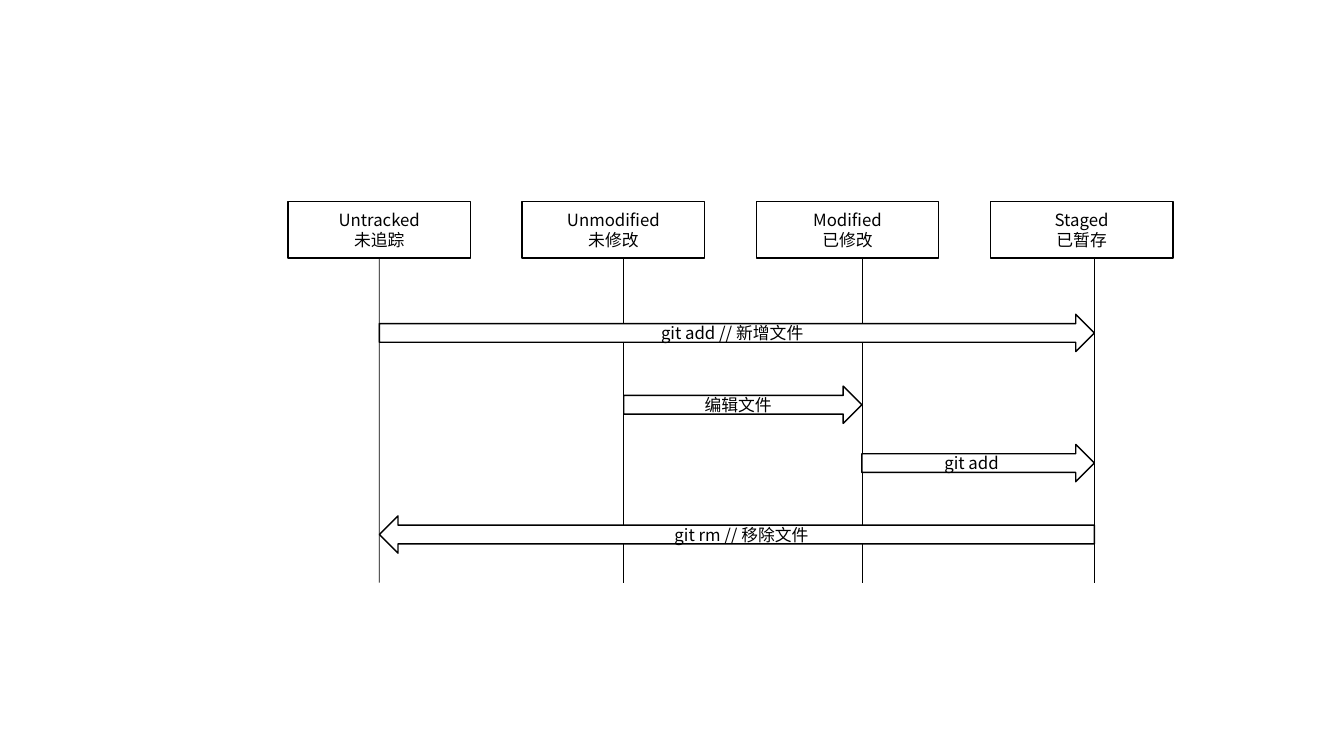
from pptx import Presentation
from pptx.dml.color import RGBColor
from pptx.enum.shapes import MSO_CONNECTOR, MSO_SHAPE
from pptx.enum.text import MSO_ANCHOR, PP_ALIGN
from pptx.oxml.ns import qn
from pptx.util import Cm, Pt
from lxml import etree

RECT = MSO_SHAPE.RECTANGLE
RIGHT = MSO_SHAPE.RIGHT_ARROW
LEFT = MSO_SHAPE.LEFT_ARROW
STRAIGHT = MSO_CONNECTOR.STRAIGHT
MIDDLE = MSO_ANCHOR.MIDDLE
CENTER = PP_ALIGN.CENTER
BLACK = RGBColor(0, 0, 0)
WHITE = RGBColor(255, 255, 255)
FONT = "Noto Sans CJK SC"

BOX_LEFT, BOX_TOP, BOX_W, BOX_H = 7.26, 5.08, 4.6, 1.42
BOX_STEP = 5.9
LINE_TOP, LINE_BOTTOM = BOX_TOP + BOX_H, 14.68
ARROW_H = 0.94


def add_labelled_shape(text, kind, left, top, width, height, size=12, color=BLACK):
    s = slide.shapes.add_shape(kind, Cm(left), Cm(top), Cm(width), Cm(height))
    s.shadow.inherit = False
    s.fill.solid()
    s.fill.fore_color.rgb = WHITE
    s.line.color.rgb = BLACK
    s.line.width = Pt(1)
    tf = s.text_frame
    tf.vertical_anchor = MIDDLE
    tf.text = text
    for p in tf.paragraphs:
        p.alignment = CENTER
        for r in p.runs:
            r.font.size = Pt(size)
            r.font.name = FONT
            r.font.color.rgb = color
            etree.SubElement(r.font._element, qn("a:ea"), typeface=FONT)
    return s


prs = Presentation()
prs.slide_width, prs.slide_height = Cm(33.87), Cm(19.05)
slide = prs.slides.add_slide(prs.slide_layouts[6])

# States: label and position of the lifeline
states = [
    ("Untracked\n未追踪", 9.56),
    ("Unmodified\n未修改", 15.72),
    ("Modified\n已修改", 21.72),
    ("Staged\n已暂存", 27.58),
]
for i, (label, x) in enumerate(states):
    left = BOX_LEFT + i * BOX_STEP
    box = add_labelled_shape(label, RECT, left, BOX_TOP, BOX_W, BOX_H)
    lifeline = slide.shapes.add_connector(
        STRAIGHT, Cm(x), Cm(LINE_TOP), Cm(x), Cm(LINE_BOTTOM))
    lifeline.line.color.rgb = BLACK
    lifeline.line.width = Pt(0.5)
    etree.SubElement(lifeline._element.spPr, qn("a:effectLst"))
    if abs(x - left - BOX_W / 2) < 0.01:
        lifeline.begin_connect(box, 2)

# Transitions: label, arrow, left state, right state, top
transitions = [
    ("git add // 新增文件", RIGHT, 0, 3, 7.92),
    ("编辑文件", RIGHT, 1, 2, 9.73),
    ("git add ", RIGHT, 2, 3, 11.2),
    ("git rm // 移除文件", LEFT, 0, 3, 13),
]
for label, kind, first, last, top in transitions:
    start, end = states[first][1], states[last][1]
    add_labelled_shape(label, kind, start, top, end - start, ARROW_H)

prs.save("out.pptx")
